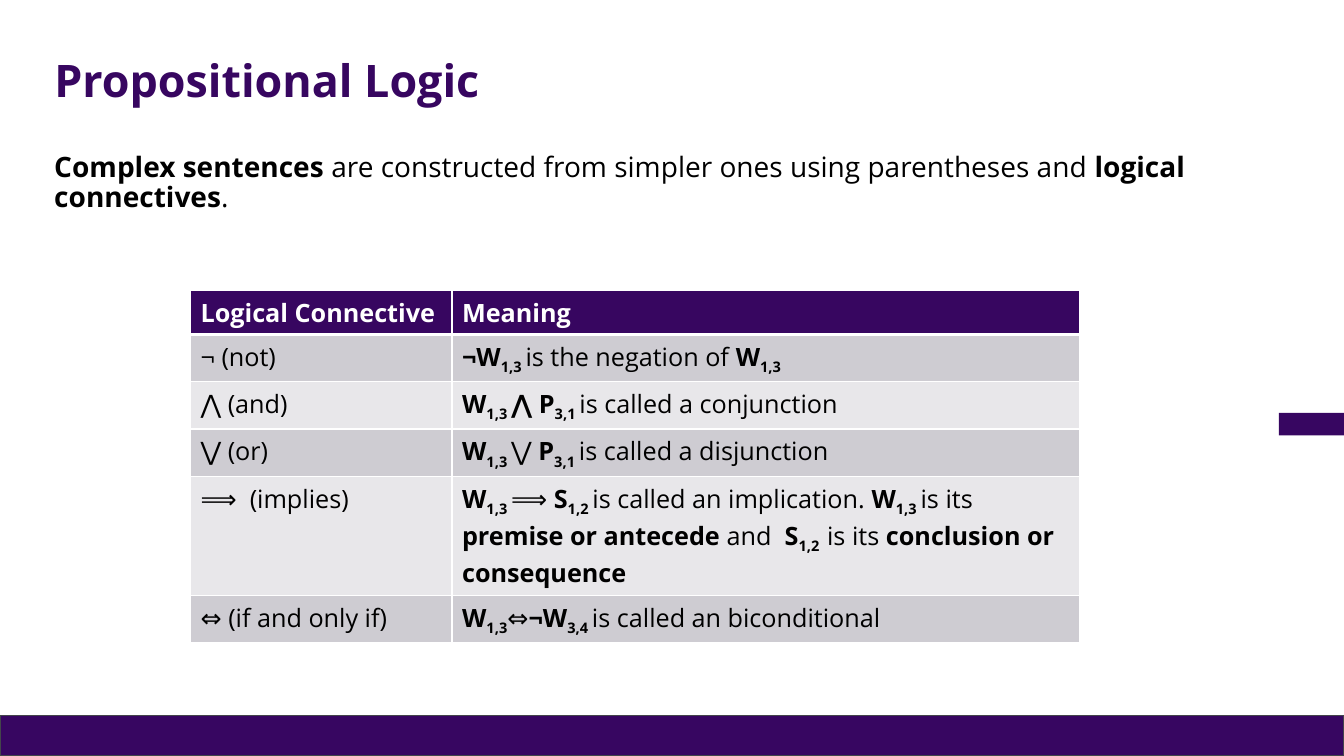
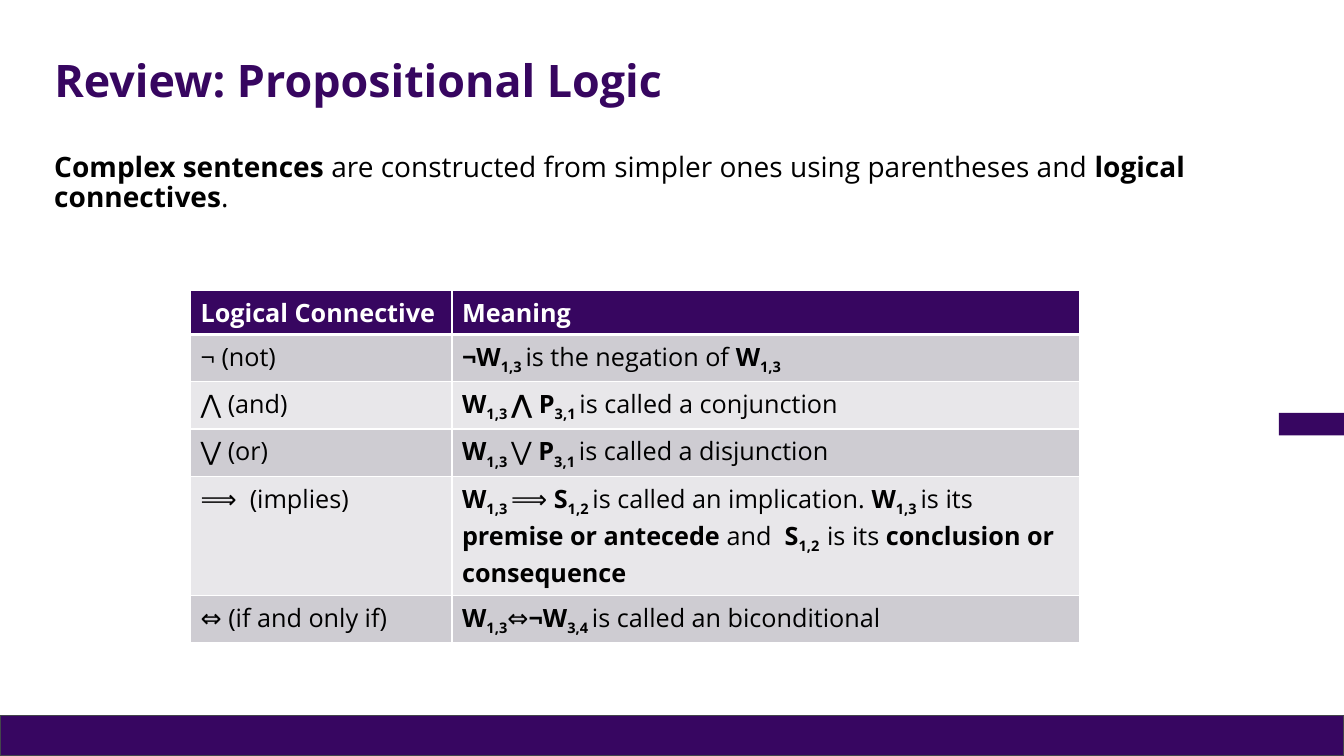
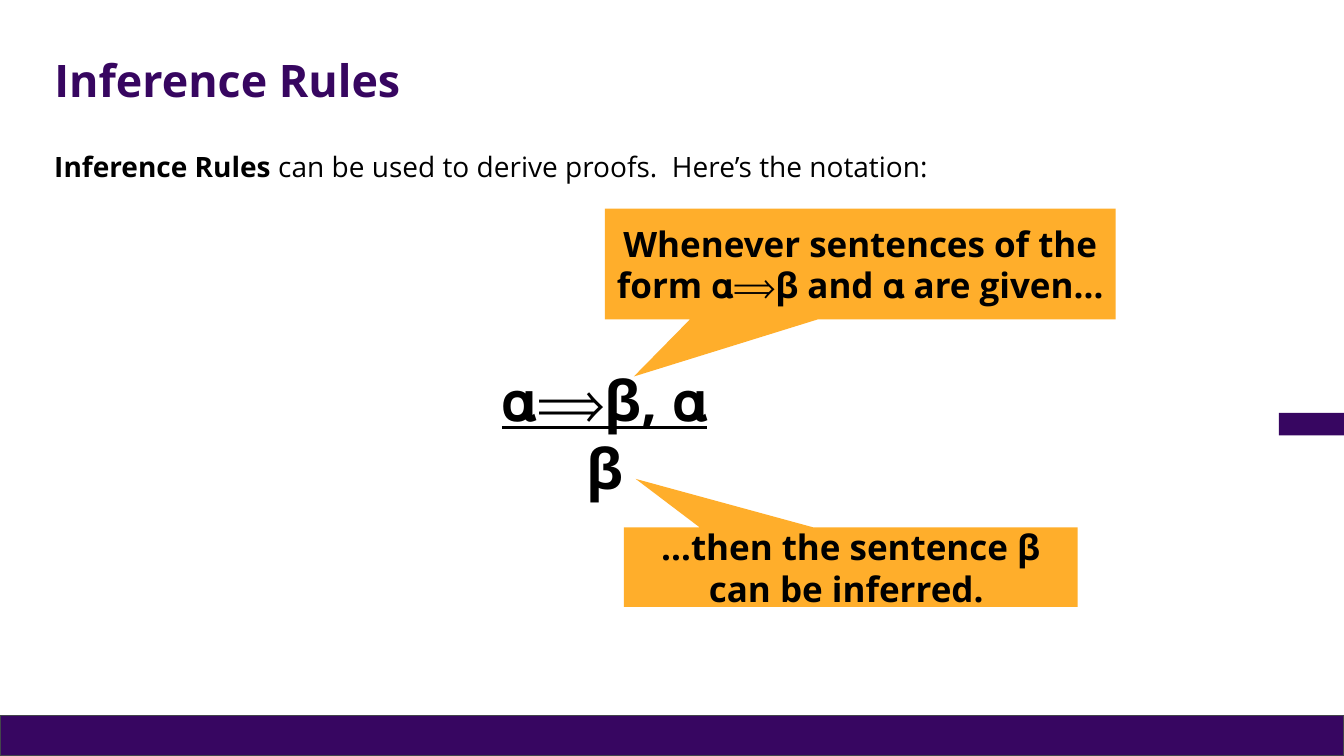
from lxml import etree
from pptx import Presentation
from pptx import util as u
from pptx.dml.color import RGBColor
from pptx.enum import shapes, text
from pptx.oxml import ns

Pt = u.Pt
FONT = "Open Sans"
COLORS = {
    "purple": "370660",
    "band": "370661",
    "band_line": "43454B",
    "odd_row": "CECCD2",
    "even_row": "E8E7EA",
    "callout": "FFAE2B",
    "black": "000000",
    "white": "FFFFFF",
}

TITLE_BOX = (31.7, 28.8, 862.6, 60.5)
BODY_BOX = (31.7, 105.8, 828, 377.3)
TABLE_BOX = (136.1, 207.4, 634.8, 251.5)
RULE_BOX = (350.6, 257.8, 162.7, 104.4)

HEADER_HEIGHT, LINE_HEIGHT, IMPLIES_HEIGHT = 31.5, 33.75, 85
CONNECTIVES = [
    (HEADER_HEIGHT, "*Logical Connective", "*Meaning"),
    (LINE_HEIGHT, "¬ (not)", "*¬W|_1,3 |is the negation of |*W|_1,3"),
    (LINE_HEIGHT, "⋀ (and)", "*W|_1,3 |*⋀ P|_3,1 |is called a conjunction"),
    (LINE_HEIGHT, "⋁ (or)", "*W|_1,3 |⋁ |*P|_3,1 |is called a disjunction"),
    (IMPLIES_HEIGHT, "⟹  (implies)",
     "*W|_1,3 |⟹ |*S|_1,2 |is called an implication. |*W|_1,3 |is its |"
     "*premise or antecede |and  |*S|_1,2  |is its |*conclusion or consequence"),
    (LINE_HEIGHT, "⇔ (if and only if)",
     "*W|_1,3|⇔|*¬W|_3,4 |is called an biconditional"),
]
COMPLEX = ("*Complex sentences |are constructed from simpler ones using "
           "parentheses and |*logical connectives|.")
CALLOUTS = [
    ((432, 149, 365, 79.2), (-0.443, 1.015, 0),
     "*Whenever sentences of the form 𝛂⟹β and 𝛂 are given…"),
    ((445.7, 376.6, 324, 56.9), (-0.474, -1.107, 0),
     "*…then the sentence β can be inferred. "),
]


def rgb(name):
    return RGBColor.from_string(COLORS[name])


def assign(target, values):
    for name, value in values.items():
        setattr(target, name, value)


def write(p, markup, size, color="black", underline=False, **layout):
    assign(p, layout)
    for part in markup.split("|"):
        mark = part[0] if part[0] in "*_" else ""
        r = p.add_run()
        r.text = part[len(mark):]
        assign(r.font, {"name": FONT, "size": Pt(size), "bold": bool(mark),
                        "underline": underline})
        r.font.color.rgb = rgb(color)
        if mark == "_":
            r.font._element.set("baseline", "-25000")


def add_text(slide, box, **frame):
    tf = slide.shapes.add_textbox(*map(Pt, box)).text_frame
    assign(tf, {"word_wrap": True, **frame})
    return tf


def add_block(slide, kind, box, fill, line=None):
    sp = slide.shapes.add_shape(kind, *map(Pt, box))
    sp.shadow.inherit = False
    sp.fill.solid()
    sp.fill.fore_color.rgb = rgb(fill)
    if line:
        sp.line.color.rgb = rgb(line)
        sp.line.width = Pt(0.75)
    else:
        sp.line.fill.background()
    return sp


def add_base(prs, title, body):
    slide = prs.slides.add_slide(prs.slide_layouts[6])
    rect = shapes.MSO_SHAPE.RECTANGLE
    add_block(slide, rect, (0, 510.8, 960, 29.2), "band", "band_line")
    add_block(slide, rect, (913.5, 295, 46.5, 16), "band")
    tf = add_text(slide, TITLE_BOX, vertical_anchor=text.MSO_ANCHOR.MIDDLE)
    write(tf.paragraphs[0], "*" + title, 32, "purple", line_spacing=0.9)
    tf = add_text(slide, BODY_BOX)
    write(tf.paragraphs[0], body, 20, line_spacing=0.9)
    return slide


def add_borders(cell, widths):
    tc_pr = cell._tc.get_or_add_tcPr()
    for side, width in widths.items():
        ln = etree.SubElement(tc_pr, ns.qn("a:ln" + side), w=str(Pt(width)))
        fill = etree.SubElement(ln, ns.qn("a:solidFill"))
        etree.SubElement(fill, ns.qn("a:srgbClr"), val=COLORS["white"])


def add_connectives(slide, box):
    table = slide.shapes.add_table(len(CONNECTIVES), 2, *map(Pt, box)).table
    table.horz_banding = False
    first = 186.8
    for column, width in zip(table.columns, (first, box[2] - first)):
        column.width = Pt(width)
    for i, (height, *markups) in enumerate(CONNECTIVES):
        table.rows[i].height = Pt(height)
        fill = "purple" if i == 0 else "odd_row" if i % 2 else "even_row"
        for j, markup in enumerate(markups):
            cell = table.cell(i, j)
            add_borders(cell, {"L": 1, "R": 1, "T": 3 if i == 1 else 1,
                               "B": 3 if i == 0 else 1})
            cell.fill.solid()
            cell.fill.fore_color.rgb = rgb(fill)
            write(cell.text_frame.paragraphs[0], markup, 18,
                  "black" if i else "white")


def add_callout(slide, box, adjustments, markup):
    sp = add_block(slide, shapes.MSO_SHAPE.ROUNDED_RECTANGULAR_CALLOUT, box,
                   "callout")
    for i, value in enumerate(adjustments):
        sp.adjustments[i] = value
    tf = sp.text_frame
    assign(tf, {"word_wrap": True, "vertical_anchor": text.MSO_ANCHOR.MIDDLE})
    assign(tf, {"margin_" + side: Pt(7.2)
                for side in ("left", "top", "right", "bottom")})
    write(tf.paragraphs[0], markup, 25, alignment=text.PP_ALIGN.CENTER)


def add_rule(slide, box):
    tf = add_text(slide, box, word_wrap=False,
                  auto_size=text.MSO_AUTO_SIZE.SHAPE_TO_FIT_TEXT)
    center = text.PP_ALIGN.CENTER
    write(tf.paragraphs[0], "𝛂⟹|*β, |𝛂", 40, underline=True, alignment=center)
    write(tf.add_paragraph(), "*β", 40, alignment=center)


def connectives_slide(prs, title):
    slide = add_base(prs, title, COMPLEX)
    add_connectives(slide, TABLE_BOX)


def inference_slide(prs):
    slide = add_base(prs, "Inference Rules",
                     "*Inference Rules |can be used to derive proofs.  "
                     "Here’s the notation:")
    add_rule(slide, RULE_BOX)
    for callout in CALLOUTS:
        add_callout(slide, *callout)


def main():
    prs = Presentation()
    assign(prs, {"slide_width": Pt(960), "slide_height": Pt(540)})
    for title in ("Propositional Logic", "Review: Propositional Logic"):
        connectives_slide(prs, title)
    inference_slide(prs)
    prs.save("out.pptx")


if __name__ == "__main__":
    main()
